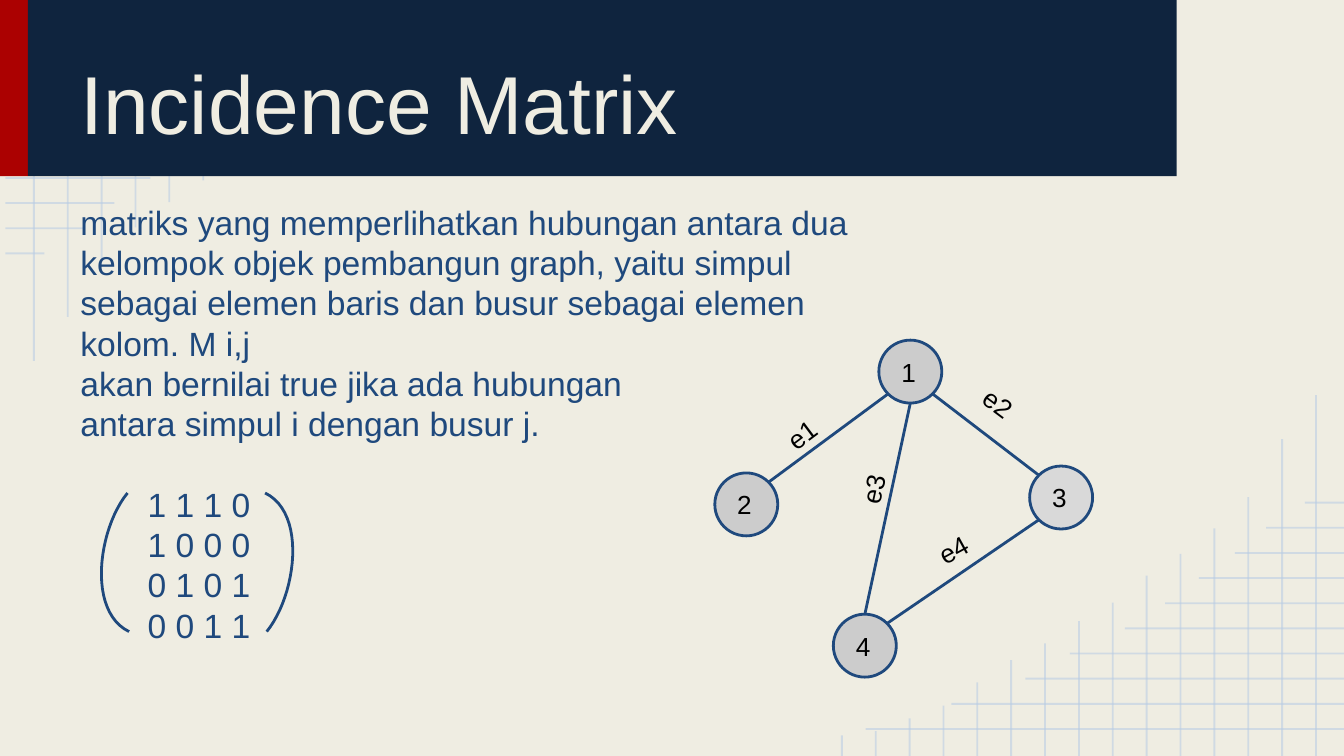
from math import cos, radians, sin

from lxml.etree import SubElement
from pptx import Presentation
from pptx.dml.color import RGBColor
from pptx.enum.shapes import MSO_CONNECTOR as Link, MSO_SHAPE as Kind
from pptx.enum.text import MSO_ANCHOR as Anchor, PP_ALIGN as Align
from pptx.oxml.ns import qn
from pptx.util import Cm, Pt

PALE, NAVY, BLUE, GRID = "EFEDE2", "0F243E", "1F497D", "B7CCE4"
PAD = Cm(0.25)


def paint(fill, tint):
    fill.solid()
    fill.fore_color.rgb = RGBColor.from_string(tint)


def write(shape, lines, size, tint, anchor=Anchor.TOP):
    frame = shape.text_frame
    frame.word_wrap = True
    frame.vertical_anchor = anchor
    frame.margin_left = frame.margin_right = PAD
    frame.margin_top = frame.margin_bottom = PAD
    frame.text = "\n".join(lines)
    for para in frame.paragraphs:
        para.alignment = Align.LEFT
        font = para.runs[0].font
        font.name, font.size = "Arial", Pt(size)
        paint(font.fill, tint)
    return frame.paragraphs


deck = Presentation()
wide, high = 25.4, 14.29
deck.slide_width, deck.slide_height = Cm(wide), Cm(high)
slide = deck.slides.add_slide(deck.slide_layouts[6])
paint(slide.background.fill, PALE)
shapes = slide.shapes

# Grid lines in two opposite corners, as (x1, y1, x2, y2, tint, points)
rows = [9.04, 7.42, 6.02, 5.18, 4.14, 3.38, 2.74, 2.06, 1.47, 0.74]
cols = [6.82, 5.99, 4.89, 4.3, 3.82, 3.41, 2.9, 2.55,
        2.13, 1.81, 1.39, 0.95, 0.71, 0.47, 0.39]
lines = []
for i, reach in enumerate(rows):
    gap = 0.51 + 4.28 * i / 9
    lines.append((wide, high - gap, wide - reach, high - gap, GRID, 1))
    if i > 5:  # below the banner
        lines.append((0.1, gap, 0.1 + reach, gap, GRID, 1))
for i, reach in enumerate(cols):
    x = 24.87 - 0.64 * i
    lines.append((x, high - reach, x, high, GRID, 1))
    if i < 6:  # below the banner
        x = 0.64 * (i + 1)
        lines.append((x, reach, x, 0, GRID, 1))

# Graph edges, as node, angle, node, angle
nodes = {"2": (13.51, 8.94, "CCCCCC"), "1": (16.61, 6.43, "CCCCCC"),
         "4": (15.75, 11.61, "CCCCCC"), "3": (19.46, 8.81, "D9D9D9")}
size = 1.19
edges = [("1", 135, "2", -45), ("1", 45, "3", -135),
         ("1", 90, "4", -90), ("4", -45, "3", 135)]
for a, out, b, back in edges:
    ends = []
    for name, turn in ((a, out), (b, back)):
        left, top, tint = nodes[name]
        ends += [left + size / 2 * (1 + cos(radians(turn))),
                 top + size / 2 * (1 + sin(radians(turn)))]
    lines.append((*ends, BLUE, 1.5))

# Draw all lines
for x1, y1, x2, y2, tint, thick in lines:
    link = shapes.add_connector(Link.STRAIGHT, Cm(x1), Cm(y1), Cm(x2), Cm(y2))
    link.line.width = Pt(thick)
    paint(link.line.fill, tint)
    props = link._element.spPr
    SubElement(props, qn("a:effectLst"))
    if tint == GRID:
        color = props.find(".//" + qn("a:srgbClr"))
        SubElement(color, qn("a:alpha")).set("val", "54000")

# Banner
for left, width, tint in ((0, 0.53, "AB0101"), (0.53, 21.71, NAVY)):
    bar = shapes.add_shape(Kind.RECTANGLE, Cm(left), 0, Cm(width), Cm(3.33))
    bar.shadow.inherit = False
    paint(bar.fill, tint)
    bar.line.fill.background()

# Title
title = shapes.add_textbox(Cm(1.27), Cm(0.28), Cm(20.32), Cm(2.82))
write(title, ["Incidence Matrix"], 44, PALE, Anchor.BOTTOM)

# Body text and matrix
words = ["matriks yang memperlihatkan hubungan antara dua",
         "kelompok objek pembangun graph, yaitu simpul",
         "sebagai elemen baris dan busur sebagai elemen",
         "kolom. M i,j",
         "akan bernilai true jika ada hubungan",
         "antara simpul i dengan busur j."]
matrix = ["1 1 1 0", "1 0 0 0", "0 1 0 1", "0 0 1 1"]
body = shapes.add_textbox(Cm(1.27), Cm(3.56), Cm(22.86), Cm(10.08))
paras = write(body, words + matrix, 18, BLUE)
for para in paras:
    para.line_spacing = Pt(21.6)
for para in paras[len(words):]:
    para._p.get_or_add_pPr().set("marL", str(Cm(1.27)))
paras[len(words)].space_before = Pt(21.6)

# Matrix brackets: a curve and its half turn
bend = [(2.41, 9.32), (1.85, 10.01), (1.65, 11.56), (2.44, 11.94)]
turned = [(7.45 - x, 21.26 - y) for x, y in bend]
for curve in (bend, turned):
    dots = []
    for i in range(25):
        t = i / 24
        mix = ((1 - t) ** 3, 3 * t * (1 - t) ** 2, 3 * t * t * (1 - t), t ** 3)
        dots.append([Cm(sum(m * p[k] for m, p in zip(mix, curve)))
                     for k in (0, 1)])
    pen = shapes.build_freeform(*dots[0])
    pen.add_line_segments(dots[1:], close=False)
    arc = pen.convert_to_shape()
    arc.shadow.inherit = False
    arc.fill.background()
    arc.line.width = Pt(1.5)
    paint(arc.line.fill, BLUE)

# Graph nodes
for name, (left, top, tint) in nodes.items():
    node = shapes.add_shape(Kind.OVAL, Cm(left), Cm(top), Cm(size), Cm(size))
    node.shadow.inherit = False
    paint(node.fill, tint)
    node.line.width = Pt(1.5)
    paint(node.line.fill, BLUE)
    write(node, [name], 14, "000000", Anchor.MIDDLE)

# Edge labels
tags = [("e1", 14.53, 7.52, 323), ("e2", 18.34, 7.24, 36.8),
        ("e3", 15.7, 8.51, 282.3), ("e4", 17.42, 9.73, 331.2)]
for name, left, top, turn in tags:
    tag = shapes.add_textbox(Cm(left), Cm(top), Cm(1.55), Cm(0.94))
    tag.rotation = turn
    write(tag, [name], 14, "000000")

deck.save("out.pptx")
